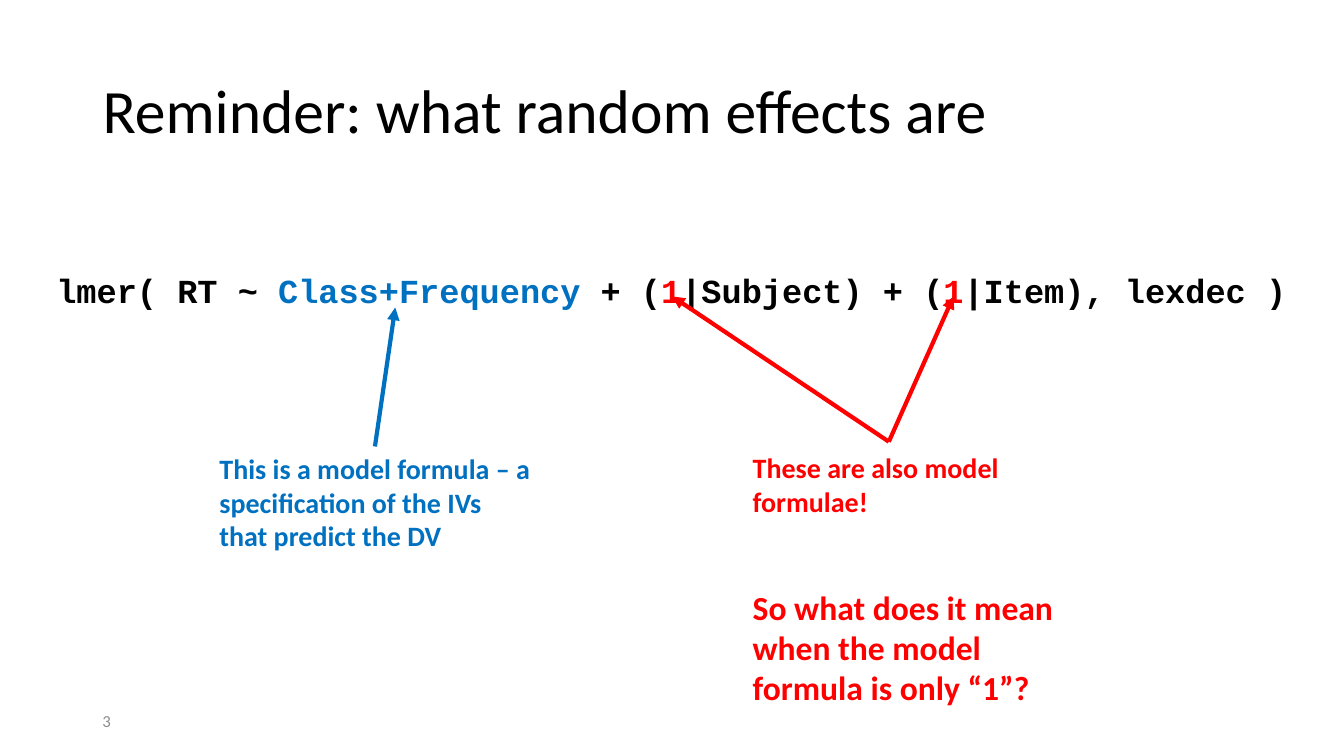
from lxml import etree
from pptx import Presentation
from pptx.dml.color import RGBColor
from pptx.enum.shapes import MSO_CONNECTOR
from pptx.enum.text import MSO_ANCHOR, MSO_AUTO_SIZE, PP_ALIGN
from pptx.oxml.ns import qn
from pptx.util import Cm, Pt

STRAIGHT = MSO_CONNECTOR.STRAIGHT
TOP, MIDDLE = MSO_ANCHOR.TOP, MSO_ANCHOR.MIDDLE
LEFT = PP_ALIGN.LEFT
NO_AUTOFIT = MSO_AUTO_SIZE.NONE
TITLE_ONLY = 5

COLORS = {"black": "000000", "blue": "0070C0", "red": "FF0000", "gray": "8C8C8C"}
BODY_FONT, CODE_FONT = "Calibri", "Courier New"


class SlideBuilder:
    def __init__(self, presentation):
        self.slide = presentation.slides.add_slide(presentation.slide_layouts[TITLE_ONLY])

    def format_run(self, run, size, color, bold=False, font=BODY_FONT):
        run.font.name = font
        run.font.size = Pt(size)
        run.font.bold = bold
        run.font.color.rgb = RGBColor.from_string(COLORS[color])

    def title(self, text, left, top, width, height):
        shape = self.slide.shapes.title
        shape.left, shape.top = Cm(left), Cm(top)
        shape.width, shape.height = Cm(width), Cm(height)
        frame = shape.text_frame
        frame.text = text
        frame.auto_size = NO_AUTOFIT
        frame.vertical_anchor = MIDDLE
        paragraph = frame.paragraphs[0]
        paragraph.alignment = LEFT
        paragraph.line_spacing = 0.9
        self.format_run(paragraph.runs[0], 44, "black")

    def text_frame(self, left, top, width, height, anchor=TOP):
        box = self.slide.shapes.add_textbox(Cm(left), Cm(top), Cm(width), Cm(height))
        frame = box.text_frame
        frame.word_wrap = True
        frame.vertical_anchor = anchor
        return frame

    def code(self, parts, left, top, width, height, inset):
        """Write one line of code from (text, color) parts, inset from the box top."""
        frame = self.text_frame(left, top, width, height)
        frame.margin_top = Cm(inset)
        for text, color in parts:
            run = frame.paragraphs[0].add_run()
            run.text = text
            self.format_run(run, 24, color, bold=True, font=CODE_FONT)

    def note(self, lines, color, left, top, width, height, bold=True, anchor=TOP):
        """Write one paragraph for each (text, size, space before) in lines."""
        frame = self.text_frame(left, top, width, height, anchor)
        frame.text = "\n".join(text for text, _, _ in lines)
        for paragraph, (_, size, space) in zip(frame.paragraphs, lines):
            paragraph.space_before = Pt(space)
            self.format_run(paragraph.runs[0], size, color, bold)

    def arrow(self, start, end, color):
        connector = self.slide.shapes.add_connector(
            STRAIGHT, *(Cm(value) for value in (*start, *end)))
        connector.line.width = Pt(3)
        connector.line.color.rgb = RGBColor.from_string(COLORS[color])
        etree.SubElement(connector.line._get_or_add_ln(), qn("a:tailEnd"), type="triangle")
        etree.SubElement(connector._element.spPr, qn("a:effectLst"))


def main():
    presentation = Presentation()
    presentation.slide_width, presentation.slide_height = Cm(33.87), Cm(19.05)
    builder = SlideBuilder(presentation)

    builder.title("Reminder: what random effects are", 2.33, 1.01, 29.21, 3.68)
    formula = [
        ("lmer( RT ~ ", "black"),
        ("Class+Frequency", "blue"),
        (" + (", "black"),
        ("1", "red"),
        ("|Subject) + (", "black"),
        ("1", "red"),
        ("|Item), lexdec )", "black"),
    ]
    builder.code(formula, 1.17, 5.08, 31.57, 12.09, inset=1.72)
    builder.note([("3", 12, 0)], "gray", 2.33, 17.66, 7.62, 1.01, bold=False, anchor=MIDDLE)

    fixed_note = "This is a model formula – a specification of the IVs that predict the DV"
    builder.note([(fixed_note, 20, 0)], "blue", 5.28, 11.25, 8.36, 2.82)
    random_notes = [
        ("These are also model formulae!", 20, 0),
        ("So what does it mean when the model formula is only “1”?", 24, 49),
    ]
    builder.note(random_notes, "red", 18.72, 11.23, 8.36, 6.76)

    builder.arrow((9.45, 11.25), (9.96, 7.75), "blue")
    for intercept_x in (16.94, 24.03):
        builder.arrow((22.4, 11.13), (intercept_x, 7.47), "red")

    presentation.save("out.pptx")


if __name__ == "__main__":
    main()
